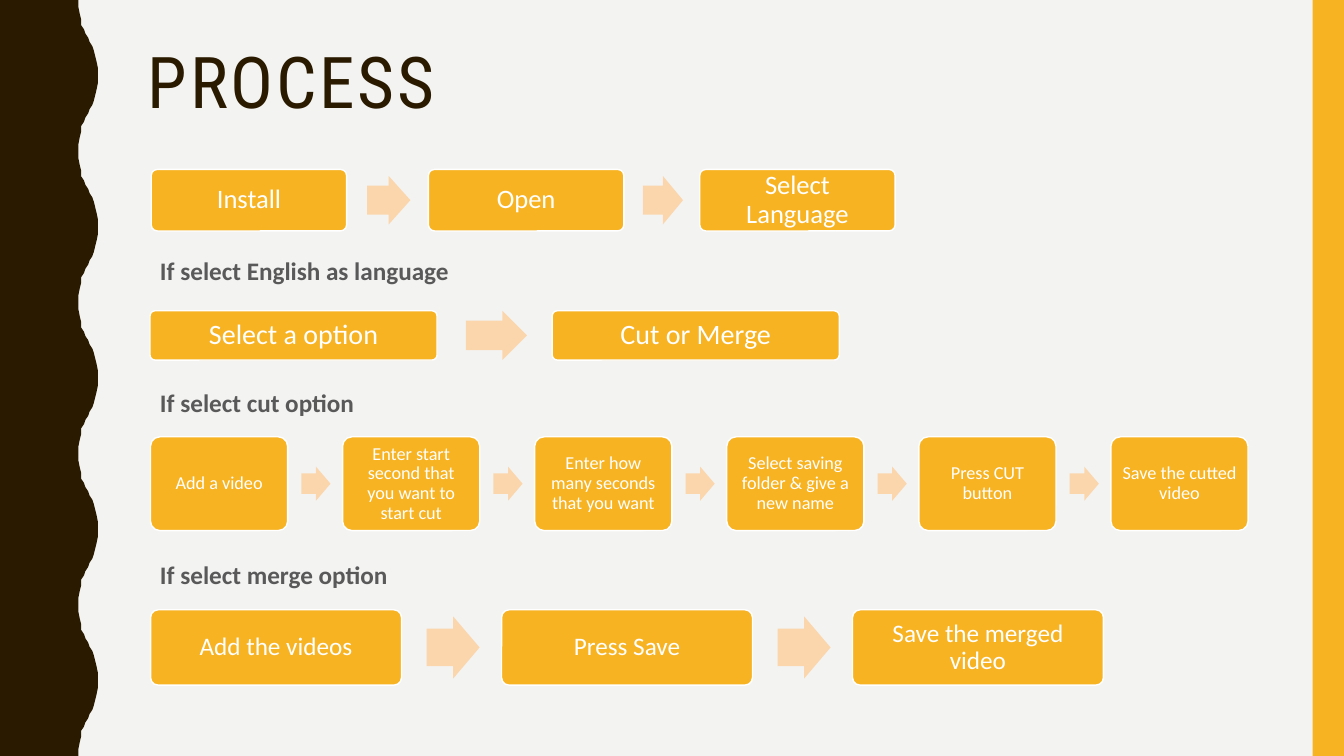
from dataclasses import dataclass

from pptx import Presentation
from pptx.dml.color import RGBColor
from pptx.enum.shapes import MSO_SHAPE
from pptx.enum.text import MSO_ANCHOR, PP_ALIGN
from pptx.util import Pt

RECT = MSO_SHAPE.RECTANGLE
ROUND_RECT = MSO_SHAPE.ROUNDED_RECTANGLE
RIGHT_ARROW = MSO_SHAPE.RIGHT_ARROW
TOP, MIDDLE = MSO_ANCHOR.TOP, MSO_ANCHOR.MIDDLE
LEFT, CENTER = PP_ALIGN.LEFT, PP_ALIGN.CENTER

BACKGROUND, BROWN, GOLD = "F3F3F2", "2A1A00", "F8B323"
PEACH, GREY, WHITE = "FBD6AC", "595959", "FFFFFF"

SLIDE_W, SLIDE_H = 960, 540
WAVE_PERIOD = 108
WAVE_HALF = [
    (56.2, 0), (56.4, 5), (57, 10), (57.6, 14.4), (58.3, 18),
    (59.8, 21), (61.2, 24), (62.7, 27), (64.1, 30), (65.5, 33),
    (67, 36), (68.4, 39.6), (69.1, 44), (69.7, 49), (69.9, 54),
]


@dataclass
class Flow:
    steps: list[str]
    lefts: list[float]
    top: float
    width: float
    height: float
    arrow_height: float
    size: float
    inset: float = 6.8


@dataclass
class Heading:
    text: str
    top: float


def evenly(left: float, pitch: float, count: int) -> list[float]:
    return [left + pitch * i for i in range(count)]


FLOWS = [
    Flow(["Install", "Open", "Select Language"],
         [108, 306, 499.8], 121, 139.6, 44, 34.6, 19),
    Flow(["Select a option", "Cut or Merge"],
         evenly(107.2, 287.3, 2), 222, 205, 35.2, 35.2, 20),
    Flow(["Add a video", "Enter start second that you want to start cut",
          "Enter how many seconds that you want",
          "Select saving folder & give a new name",
          "Press CUT button", "Save the cutted video"],
         evenly(107.5, 137.2, 6), 312, 98, 67, 24.4, 13, 5.4),
    Flow(["Add the videos", "Press Save", "Save the merged video"],
         evenly(107.6, 250.7, 3), 435.6, 179.2, 53.8, 44.6, 18),
]

HEADINGS = [
    Heading("If select English as language", 176.4),
    Heading("If select cut option", 270.7),
    Heading("If select merge option", 393.8),
]


def rgb(hex_color: str) -> RGBColor:
    return RGBColor.from_string(hex_color)


def paint(sp, fill: str, line: str | None = None) -> None:
    sp.shadow.inherit = False
    sp.fill.solid()
    sp.fill.fore_color.rgb = rgb(fill)
    if line:
        sp.line.color.rgb = rgb(line)
        sp.line.width = Pt(1)
    else:
        sp.line.fill.background()


def add_block(s, kind, left: float, top: float, width: float, height: float,
              fill: str, line: str | None = None):
    sp = s.shapes.add_shape(kind, Pt(left), Pt(top), Pt(width), Pt(height))
    paint(sp, fill, line)
    return sp


def write(sp, text: str, *, size: float, color: str, font: str = "Calibri",
          bold: bool = False, align=LEFT, anchor=TOP, line_spacing: float = 0.9,
          before: float = 0, inset: float | None = None,
          tracking: float = 0) -> None:
    tf = sp.text_frame
    tf.word_wrap = True
    tf.vertical_anchor = anchor
    if inset is not None:
        tf.margin_left = tf.margin_right = Pt(inset)
        tf.margin_top = tf.margin_bottom = Pt(inset)
    p = tf.paragraphs[0]
    p.alignment = align
    p.line_spacing = line_spacing
    p.space_before = Pt(before)
    r = p.add_run()
    r.text = text
    r.font.name = font
    r.font.size = Pt(size)
    r.font.bold = bold
    r.font.color.rgb = rgb(color)
    if tracking:
        r.font._element.set("spc", str(round(tracking * 100)))


def add_label(s, text: str, left: float, top: float, width: float,
              height: float, **style) -> None:
    sp = s.shapes.add_textbox(Pt(left), Pt(top), Pt(width), Pt(height))
    write(sp, text, **style)


def draw_wave(s) -> None:
    crest = WAVE_HALF + [(x, WAVE_PERIOD - y) for x, y in WAVE_HALF[-2::-1]]
    edge = [(x, y + WAVE_PERIOD * i)
            for i in range(SLIDE_H // WAVE_PERIOD) for x, y in crest]
    fb = s.shapes.build_freeform(0, 0, scale=Pt(1))
    fb.add_line_segments(edge + [(0, SLIDE_H)], close=True)
    paint(fb.convert_to_shape(), BROWN)


def draw_flow(s, flow: Flow) -> None:
    for left, text in zip(flow.lefts, flow.steps):
        sp = add_block(s, ROUND_RECT, left, flow.top, flow.width, flow.height,
                       GOLD, WHITE)
        sp.adjustments[0] = 0.1
        write(sp, text, size=flow.size, color=WHITE, align=CENTER,
              anchor=MIDDLE, inset=flow.inset)
    arrow_top = flow.top + (flow.height - flow.arrow_height) / 2
    for left, following in zip(flow.lefts, flow.lefts[1:]):
        gap = following - left - flow.width
        sp = add_block(s, RIGHT_ARROW, left + flow.width + gap * 0.25,
                       arrow_top, gap * 0.53, flow.arrow_height, PEACH)
        sp.adjustments[0] = 0.6
        sp.adjustments[1] = 0.5


def main() -> None:
    prs = Presentation()
    prs.slide_width, prs.slide_height = Pt(SLIDE_W), Pt(SLIDE_H)
    s = prs.slides.add_slide(prs.slide_layouts[6])
    s.background.fill.solid()
    s.background.fill.fore_color.rgb = rgb(BACKGROUND)
    draw_wave(s)
    add_block(s, RECT, 937.6, 0, 22.4, SLIDE_H, GOLD)
    add_label(s, "PROCESS", 98.6, 30.2, 801.4, 117.4, size=51, color=BROWN,
              font="Roboto Condensed", tracking=2)
    for heading in HEADINGS:
        add_label(s, heading.text, 107.2, heading.top, 293, 45.4, size=18,
                  color=GREY, bold=True, line_spacing=1.1, before=7)
    for flow in FLOWS:
        draw_flow(s, flow)
    prs.save("out.pptx")


if __name__ == "__main__":
    main()
